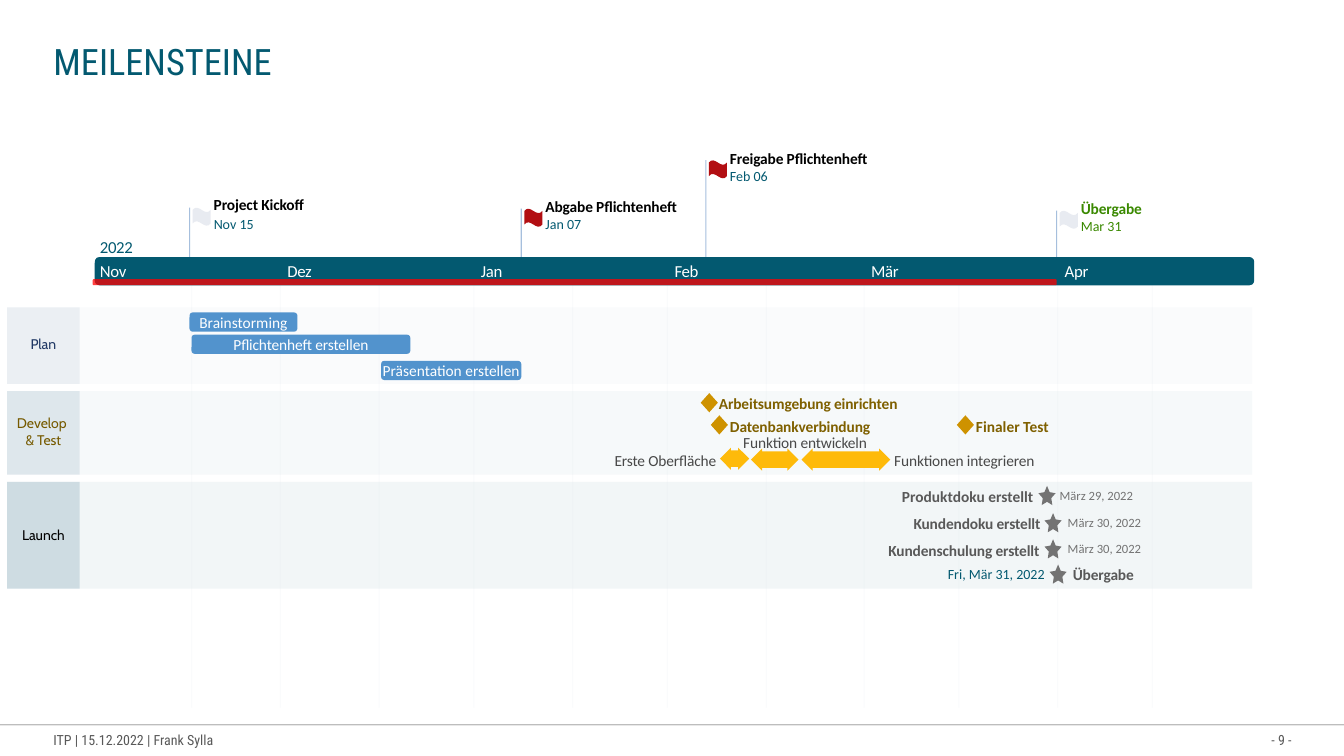
import pptx
import pptx.dml.color
import pptx.enum.shapes
import pptx.enum.text
import pptx.oxml
import pptx.oxml.ns
import pptx.util
from pptx.util import Inches

COLORS = {
    "teal": "035970", "black": "000000", "white": "FFFFFF", "footer": "595959",
    "plan": "DEE5EC", "develop": "C8D7E0", "launch": "ABC4CF",
    "plan text": "203864", "develop text": "765A00",
    "pillar": "4F81BD", "task": "5293CD", "arrow": "FEBA0A", "progress": "FF0000",
    "diamond": "CE9200", "diamond text": "7F6000", "arrow text": "484848",
    "star": "737373", "open flag": "E8EBF1", "red flag": "B20E12", "handover": "3A8900",
}
SHAPE = pptx.enum.shapes.MSO_SHAPE
ALIGN = {
    "l": pptx.enum.text.PP_ALIGN.LEFT,
    "c": pptx.enum.text.PP_ALIGN.CENTER,
    "r": pptx.enum.text.PP_ALIGN.RIGHT,
}
ALPHA_XML = '<a:alpha xmlns:a="http://schemas.openxmlformats.org/drawingml/2006/main" val="%d"/>'

presentation = pptx.Presentation()
presentation.slide_width = Inches(13.33)
presentation.slide_height = Inches(7.5)
slide = presentation.slides.add_slide(presentation.slide_layouts[5])


def add_filled(kind, left, top, width, height, color, opacity=100, adjustments=()):
    """Add a borderless preset shape with an optionally translucent fill."""
    shape = slide.shapes.add_shape(kind, Inches(left), Inches(top), Inches(width), Inches(height))
    shape.shadow.inherit = False
    shape.line.fill.background()
    shape.fill.solid()
    shape.fill.fore_color.rgb = pptx.dml.color.RGBColor.from_string(COLORS[color])
    if opacity < 100:
        rgb = shape._element.spPr.find(".//" + pptx.oxml.ns.qn("a:srgbClr"))
        rgb.append(pptx.oxml.parse_xml(ALPHA_XML % (opacity * 1000)))
    for index, value in enumerate(adjustments):
        shape.adjustments[index] = value


def add_label(text, left, top, width, height, color, size=11, align="l", bold=False,
              font="Calibri", spacing=0, box=None):
    """Write text without margins; spacing is in hundredths of a point."""
    box = box or slide.shapes.add_textbox(0, 0, 0, 0)
    box.left, box.top, box.width, box.height = map(Inches, (left, top, width, height))
    frame = box.text_frame
    frame.margin_left = frame.margin_right = frame.margin_top = frame.margin_bottom = 0
    frame.word_wrap = True
    frame.vertical_anchor = pptx.enum.text.MSO_ANCHOR.MIDDLE
    frame.text = text
    for paragraph in frame.paragraphs:
        paragraph.alignment = ALIGN[align]
        for run in paragraph.runs:
            run.font.name = font
            run.font.size = pptx.util.Pt(size)
            run.font.bold = bold
            run.font.color.rgb = pptx.dml.color.RGBColor.from_string(COLORS[color])
            if spacing:
                run._r.get_or_add_rPr().set("spc", str(spacing))


# Title and footer
add_label("MEILENSTEINE", 0.53, 0.38, 12.28, 0.44, "teal", 26,
          font="Roboto Condensed", box=slide.shapes.title)
add_label("ITP | 15.12.2022 | Frank Sylla", 0.53, 7.26, 3, 0.17, "footer", 10,
          font="Roboto Condensed")
add_label("- 9 -", 12.4, 7.26, 0.41, 0.17, "footer", 10, "r", font="Roboto Condensed")

# Phase bands
phases = [
    ("Plan", 3.05, 0.76, "plan", "plan text", 3.33),
    ("Develop \n& Test", 3.88, 0.83, "develop", "develop text", 4.2),
    ("Launch", 4.78, 1.06, "launch", "black", 5.23),
]
for name, top, height, color, text_color, text_top in phases:
    add_filled(SHAPE.RECTANGLE, 0.07, top, 12.35, height, color, 15)
    add_filled(SHAPE.RECTANGLE, 0.07, top, 0.72, height, color, 50)
    add_label(name, 0.07, text_top, 0.72, 0.16, text_color, 10, "c", font="Cabin")

# Footer rule, milestone pillars and half-month grid
flags = [
    # pillar, flag top, flag colour, name, name top, date, date top, name colour, date colour
    (1.88, 2.06, "open flag", "Project Kickoff", 1.93, "Nov 15", 2.14, "black", "teal"),
    (7, 1.59, "red flag", "Freigabe Pflichtenheft", 1.48, "Feb 06", 1.66, "black", "teal"),
    (5.17, 2.07, "red flag", "Abgabe Pflichtenheft", 1.95, "Jan 07", 2.14, "black", "teal"),
    (10.48, 2.09, "open flag", "Übergabe", 1.97, "Mar 31", 2.16, "handover", "handover"),
]
half_months = [1.9, 2.78, 3.76, 4.7, 5.68, 6.62, 7.6, 8.57, 9.51, 10.49, 11.43]
lines = [(0, 7.19, 13.33, 7.19, "black", 1, 25)]
lines += [(flag[0], flag[1], flag[0], 2.55, "pillar", 0.75, 50) for flag in flags]
lines += [(x, 2.83, x, 7.02, "plan", 0.75, 15) for x in half_months]
for x1, y1, x2, y2, color, weight, opacity in lines:
    line = slide.shapes.add_connector(pptx.enum.shapes.MSO_CONNECTOR.STRAIGHT,
                                      Inches(x1), Inches(y1), Inches(x2), Inches(y2))
    line.line.width = pptx.util.Pt(weight)
    line.line.color.rgb = pptx.dml.color.RGBColor.from_string(COLORS[color])
    properties = line._element.spPr
    rgb = properties.find(".//" + pptx.oxml.ns.qn("a:srgbClr"))
    rgb.append(pptx.oxml.parse_xml(ALPHA_XML % (opacity * 1000)))
    properties.append(properties.makeelement(pptx.oxml.ns.qn("a:effectLst"), {}))

# Time axis
add_filled(SHAPE.ROUNDED_RECTANGLE, 0.94, 2.55, 11.5, 0.28, "teal")
add_filled(SHAPE.ROUNDED_RECTANGLE, 0.92, 2.77, 9.56, 0.06, "progress", 75)
add_label("2022", 0.99, 2.35, 0.4, 0.2, "teal", 12, spacing=-20)
months = [("Nov", 0.99), ("Dez", 2.85), ("Jan", 4.77), ("Feb", 6.69), ("Mär", 8.64), ("Apr", 10.56)]
for month, left in months:
    add_label(month, left, 2.59, 0.4, 0.19, "white", 12, spacing=-20)

# Planning tasks
tasks = [
    ("Brainstorming", 1.88, 3.1, 1.07, 0),
    ("Pflichtenheft erstellen", 1.9, 3.32, 2.17, -10),
    ("Präsentation erstellen", 3.78, 3.58, 1.39, 0),
]
for task, left, top, width, spacing in tasks:
    add_filled(SHAPE.ROUNDED_RECTANGLE, left, top, width, 0.19, "task")
    add_label(task, left - 0.05, top, width + 0.1, 0.19, "white", align="c", spacing=spacing)

# Development work
functions = [
    ("Erste Oberfläche", 6.09, 4.47, 1.02, 7.14, 4.44, 0.29),
    ("Funktion entwickeln", 7.33, 4.29, 1.31, 7.45, 4.45, 0.47),
    ("Funktionen integrieren", 8.8, 4.47, 1.53, 7.95, 4.45, 0.88),
]
for name, left, top, width, arrow_left, arrow_top, arrow_width in functions:
    add_filled(SHAPE.LEFT_RIGHT_ARROW, arrow_left, arrow_top, arrow_width, 0.22, "arrow",
               adjustments=(0.75, 0.5))
    add_label(name, left, top, width, 0.19, "arrow text", align="c", spacing=-10)

checks = [
    ("Arbeitsumgebung einrichten", 6.95, 3.9, 7.13, 1.97, -10),
    ("Datenbankverbindung", 7.05, 4.12, 7.24, 1.43, -10),
    ("Finaler Test", 9.49, 4.12, 9.68, 0.85, 0),
]
for name, left, top, text_left, width, spacing in checks:
    add_filled(SHAPE.DIAMOND, left, top, 0.17, 0.19, "diamond")
    add_label(name, text_left, top + 0.01, width, 0.19, "diamond text", bold=True, spacing=spacing)

# Launch deliverables
deliverables = [
    ("Produktdoku erstellt", "März 29, 2022", 10.3, 4.82, 10.25, 10.51, 0),
    ("Kundendoku erstellt", "März 30, 2022", 10.36, 5.09, 10.32, 10.59, -10),
    ("Kundenschulung erstellt", "März 30, 2022", 10.36, 5.35, 10.31, 10.59, -10),
]
for name, date, left, top, name_right, date_left, spacing in deliverables:
    add_label(name, name_right - 1.63, top + 0.01, 1.63, 0.19, "footer", align="r", bold=True,
              spacing=spacing)
    add_label(date, date_left, top + 0.02, 0.94, 0.15, "star", 9)
add_label("Fri, Mär 31, 2022", 9.27, 5.61, 1.09, 0.17, "teal", 10, "r")
add_label("Übergabe", 10.64, 5.6, 1.15, 0.19, "footer", bold=True, spacing=-10)
stars = [deliverable[2:4] for deliverable in deliverables] + [(10.41, 5.6)]
for left, top in stars:
    add_filled(SHAPE.STAR_5_POINT, left, top, 0.17, 0.19, "star", adjustments=(0.25, 1.05, 1.11))

# Milestone flags
for pillar, top, color, name, name_top, date, date_top, name_color, date_color in flags:
    add_filled(SHAPE.WAVE, pillar + 0.03, top, 0.18, 0.18, color)
    add_label(name, pillar + 0.24, name_top, 1.5, 0.19, name_color, bold=True, spacing=-10)
    add_label(date, pillar + 0.24, date_top, 0.58, 0.17, date_color, 10)

presentation.save("out.pptx")
